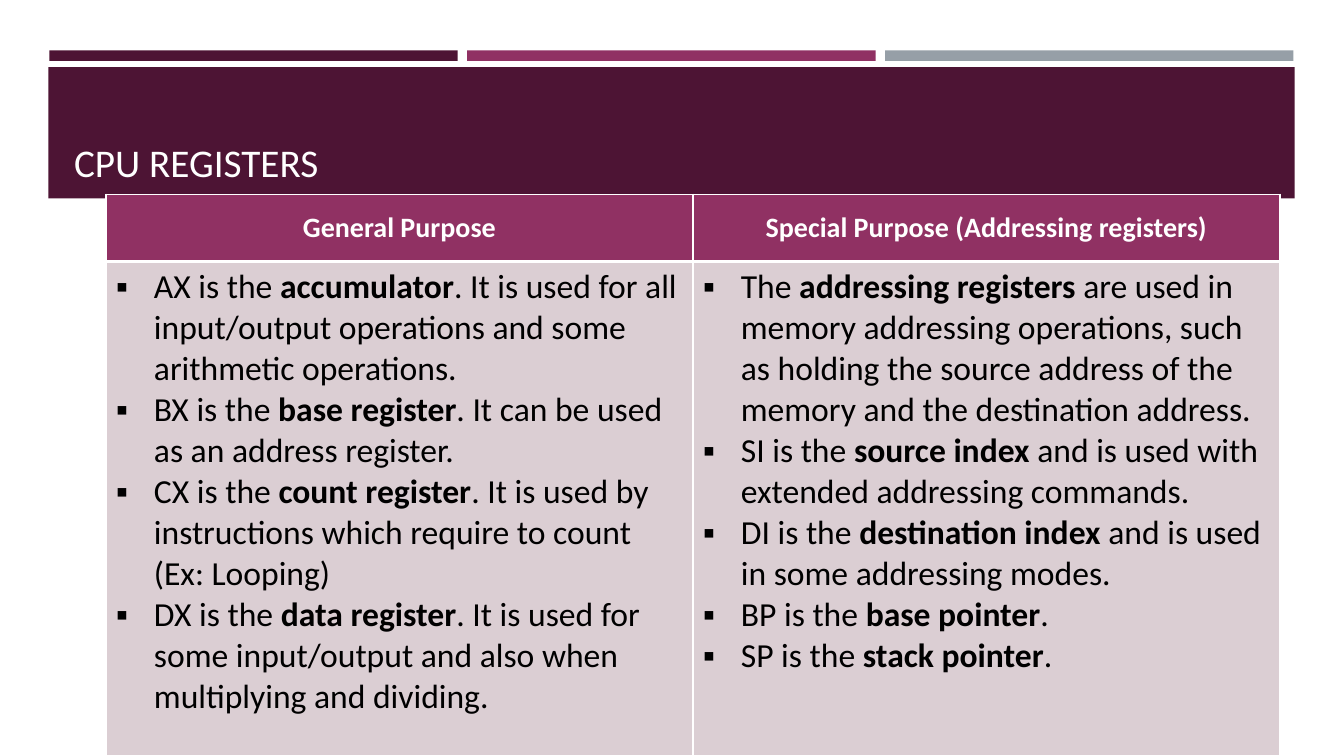
from pptx import Presentation
from pptx.dml.color import RGBColor
from pptx.enum.shapes import MSO_SHAPE
from pptx.enum.text import MSO_ANCHOR, MSO_AUTO_SIZE, PP_ALIGN
from pptx.oxml.ns import qn
from pptx.util import Pt
from lxml.etree import SubElement

COLORS = {
    "plum": "4D1434",
    "magenta": "903163",
    "grey": "969FA7",
    "blush": "DBCED3",
    "white": "FFFFFF",
    "black": "000000",
}

HEADERS = ["General Purpose", "Special Purpose (Addressing registers)"]

REGISTERS = [
    [
        ("AX is the ", "accumulator",
         ". It is used for all input/output operations and some arithmetic operations."),
        ("BX is the ", "base register", ". It can be used as an address register."),
        ("CX is the ", "count register",
         ". It is used by instructions which require to count (Ex: Looping)"),
        ("DX is the ", "data register",
         ". It is used for some input/output and also when multiplying and dividing."),
    ],
    [
        ("The ", "addressing registers ",
         "are used in memory addressing operations, such as holding the source address"
         " of the memory and the destination address."),
        ("SI is the ", "source index ", "and is used with extended addressing commands."),
        ("DI is the ", "destination index ", "and is used in some addressing modes."),
        ("BP is the ", "base pointer", "."),
        ("SP is the ", "stack pointer", "."),
    ],
]


def px(n):
    return n * 9525


def rgb(name):
    return RGBColor.from_string(COLORS[name])


class Deck:
    font = "Calibri"
    indent = 36

    def __init__(self, prs):
        self.prs = prs
        self.s = None

    def new_slide(self):
        self.s = self.prs.slides.add_slide(self.prs.slide_layouts[5])

    def style(self, r, size, color, bold=False):
        r.font.name = self.font
        r.font.size = Pt(size)
        r.font.bold = bold
        r.font.color.rgb = rgb(color)

    def rect(self, x, y, w, h, color):
        sp = self.s.shapes.add_shape(MSO_SHAPE.RECTANGLE, px(x), px(y), px(w), px(h))
        sp.shadow.inherit = False
        sp.fill.solid()
        sp.fill.fore_color.rgb = rgb(color)
        sp.line.fill.background()

    def title(self, x, y, w, h, text):
        sp = self.s.shapes.title
        sp.left, sp.top, sp.width, sp.height = px(x), px(y), px(w), px(h)
        tf = sp.text_frame
        tf.text = text
        tf.auto_size = MSO_AUTO_SIZE.NONE
        tf.vertical_anchor = MSO_ANCHOR.BOTTOM
        p = tf.paragraphs[0]
        p.alignment = PP_ALIGN.LEFT
        self.style(p.runs[0], 28, "white")
        sp.element.getparent().append(sp.element)

    def table(self, x, y, w, row_heights, cols):
        shape = self.s.shapes.add_table(
            len(row_heights), cols, px(x), px(y), px(w), px(sum(row_heights)))
        table = shape.table
        table.horz_banding = False
        for row, height in zip(table.rows, row_heights):
            row.height = px(height)
        return table

    def paint_cell(self, cell, color, top, bottom):
        tcPr = cell._tc.get_or_add_tcPr()
        for side, width in (("L", 1), ("R", 1), ("T", top), ("B", bottom)):
            ln = SubElement(tcPr, qn(f"a:ln{side}"), w=str(Pt(width)))
            fill = SubElement(ln, qn("a:solidFill"))
            SubElement(fill, qn("a:srgbClr"), val=COLORS["white"])
        cell.fill.solid()
        cell.fill.fore_color.rgb = rgb(color)

    def header_cell(self, cell, text):
        self.paint_cell(cell, "magenta", 1, 3)
        cell.vertical_anchor = MSO_ANCHOR.MIDDLE
        cell.text_frame.text = text
        p = cell.text_frame.paragraphs[0]
        p.alignment = PP_ALIGN.CENTER
        self.style(p.runs[0], 20, "white", True)

    def bullet_cell(self, cell, items):
        self.paint_cell(cell, "blush", 3, 1)
        tf = cell.text_frame
        for i, parts in enumerate(items):
            p = tf.add_paragraph() if i else tf.paragraphs[0]
            pPr = p._p.get_or_add_pPr()
            pPr.set("marL", str(px(self.indent)))
            pPr.set("indent", str(-px(self.indent)))
            SubElement(pPr, qn("a:buFont"), typeface=self.font)
            SubElement(pPr, qn("a:buChar"), char="▪")
            for j, text in enumerate(parts):
                r = p.add_run()
                r.text = text
                self.style(r, 24, "black", j == 1)


def main():
    prs = Presentation()
    prs.slide_width, prs.slide_height = px(1280), px(720)
    deck = Deck(prs)
    deck.new_slide()

    for i, color in enumerate(("plum", "magenta", "grey")):
        deck.rect(47 + 398 * i, 48, 389, 10, color)
    deck.rect(46, 64, 1187, 125, "plum")
    deck.title(61, 74, 1158, 107, "CPU REGISTERS")

    table = deck.table(101, 185, 1118, (64, 471), len(HEADERS))
    for col, (header, items) in enumerate(zip(HEADERS, REGISTERS)):
        deck.header_cell(table.cell(0, col), header)
        deck.bullet_cell(table.cell(1, col), items)

    prs.save("out.pptx")


if __name__ == "__main__":
    main()
